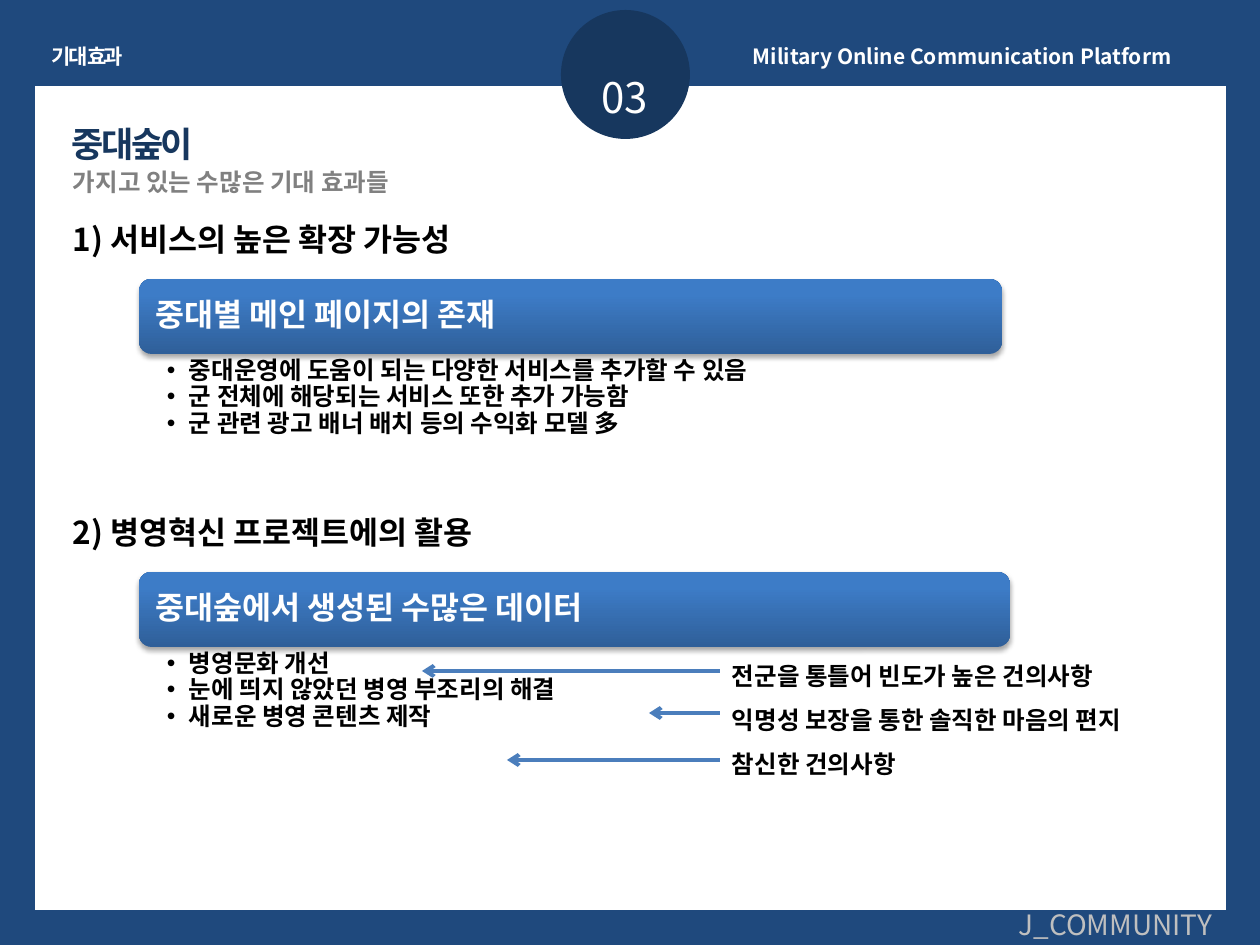
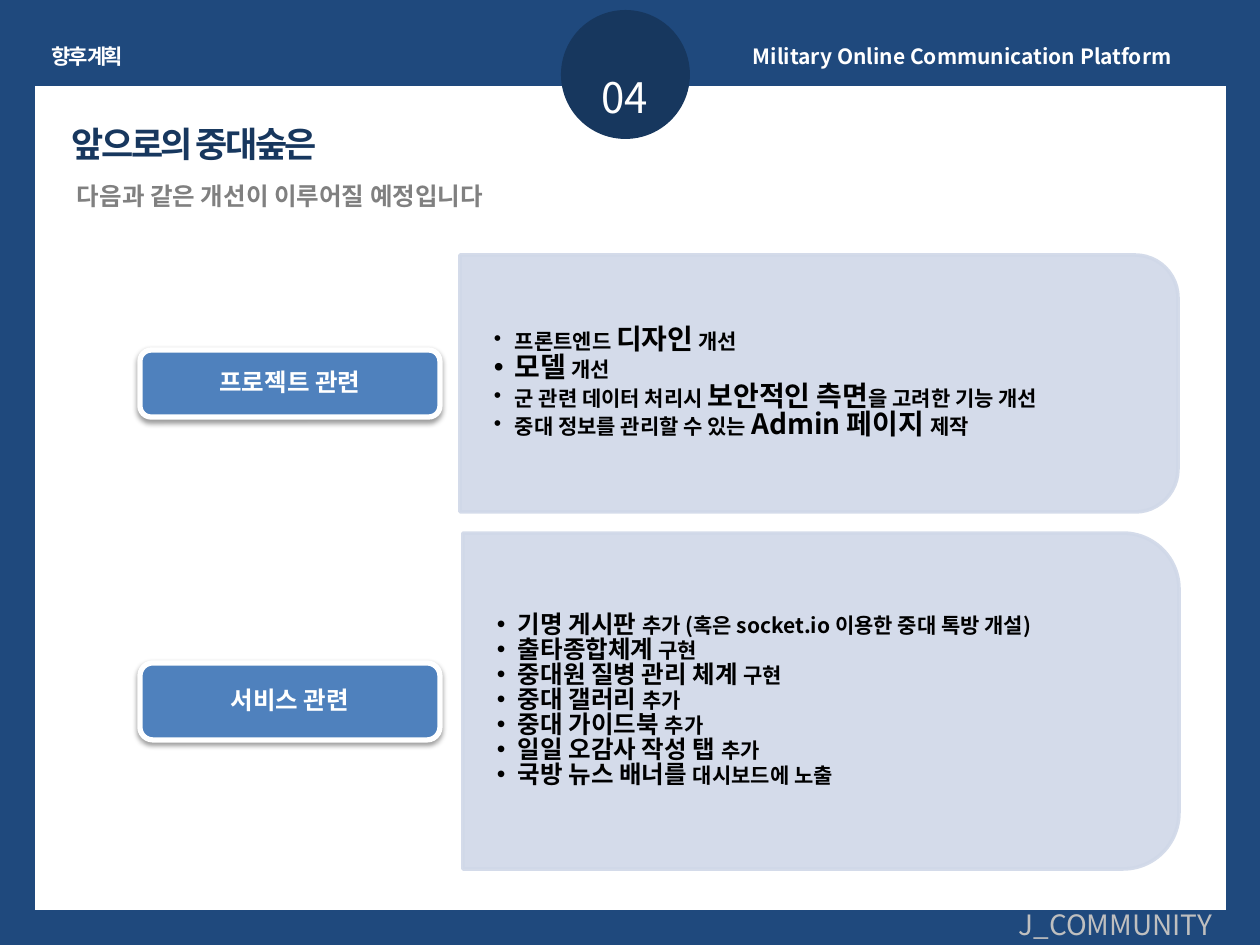
from lxml import etree
from pptx import Presentation, util as u
from pptx.dml.color import RGBColor
from pptx.enum import shapes, text
from pptx.oxml.ns import qn

PX = 914400 / 126
FONT = "Noto Sans CJK KR"
NAVY, DEEP, WHITE, BLACK = "1F497D", "17375E", "FFFFFF", "000000"
GREY, SILVER, BUTTON, PANEL, ARROW = "808080", "BFBFBF", "4F81BD", "D0D8E8", "4B7EBC"
BANNER_STOPS = [("2F5F99", 0), ("3D7CC7", 0.8)]
ALIGN, ANCHOR = text.PP_ALIGN, text.MSO_ANCHOR
SHAPE = shapes.MSO_SHAPE
PROJECT = "Military Online Communication Platform"
TEAM = "J_COMMUNITY"


def px(value):
    return u.Emu(round(value * PX))


def rgb(value):
    return RGBColor.from_string(value)


def add_xml(parent, tag, **attributes):
    return etree.SubElement(parent, qn(tag), attributes)


def write(frame, paragraphs, size=14, strong=None, color=BLACK, bold=True, font=FONT,
          align=ALIGN.LEFT, anchor=ANCHOR.TOP, margins=(13, 6, 13, 6),
          spacing=None, bullet=0, tracking=0, wrap=True):
    """Fill a text frame; in a list of runs every second run takes the strong size."""
    left, top, right, bottom = map(px, margins)
    layout = dict(margin_left=left, margin_top=top, margin_right=right,
                  margin_bottom=bottom, word_wrap=wrap, vertical_anchor=anchor)
    for key, value in layout.items():
        setattr(frame, key, value)
    for i, parts in enumerate(paragraphs):
        paragraph = frame.add_paragraph() if i else frame.paragraphs[0]
        paragraph.alignment = align
        if spacing:
            paragraph.line_spacing = spacing
        if bullet:
            props = paragraph._p.get_or_add_pPr()
            props.set("marL", str(px(bullet)))
            props.set("indent", str(-px(bullet)))
            add_xml(props, "a:buFont", typeface="Arial")
            add_xml(props, "a:buChar", char="•")
        for j, part in enumerate([parts] if isinstance(parts, str) else parts):
            if not part:
                continue
            run = paragraph.add_run()
            run.text = part
            points = strong if j % 2 else size
            for key, value in dict(name=font, size=u.Pt(points), bold=bold).items():
                setattr(run.font, key, value)
            run.font.color.rgb = rgb(color)
            props = run._r.get_or_add_rPr()
            add_xml(props, "a:ea", typeface=FONT)
            if tracking:
                props.set("spc", str(tracking))


def text_box(slide, box, paragraphs, **style):
    frame = slide.shapes.add_textbox(*map(px, box)).text_frame
    write(frame, paragraphs, **style)


def plain_shape(slide, preset, box, fill=None, line=None, width=0):
    shape = slide.shapes.add_shape(preset, *map(px, box))
    shape.shadow.inherit = False
    if fill:
        shape.fill.solid()
        shape.fill.fore_color.rgb = rgb(fill)
    if line:
        shape.line.color.rgb = rgb(line)
        shape.line.width = u.Pt(width)
    else:
        shape.line.fill.background()
    return shape


def drop_shadow(shape, opacity):
    effects = shape._element.spPr.find(qn("a:effectLst"))
    shadow = add_xml(effects, "a:outerShdw", blurRad=str(u.Pt(3.1)), dist=str(u.Pt(1.7)),
                     dir="5400000", rotWithShape="0")
    color = add_xml(shadow, "a:srgbClr", val=BLACK)
    add_xml(color, "a:alpha", val=str(opacity * 1000))


def base_slide(deck, chapter, number, title, subtitle, subtitle_at):
    """Frame, chapter number, header, title and footer shared by all slides."""
    slide = deck.slides.add_slide(deck.slide_layouts[6])
    slide.background.fill.solid()
    slide.background.fill.fore_color.rgb = rgb(NAVY)
    plain_shape(slide, SHAPE.RECTANGLE, (35, 86, 1191, 824), WHITE)
    plain_shape(slide, SHAPE.OVAL, (561, 10, 129, 129), DEEP)
    text_box(slide, (550, 66, 149, 63), [number], size=24, color=WHITE, bold=False,
             align=ALIGN.CENTER)
    # Header and footer
    text_box(slide, (35, 38, 105, 38), [chapter], size=12, color=WHITE,
             align=ALIGN.CENTER, tracking=-150, wrap=False)
    text_box(slide, (740, 38, 496, 38), [PROJECT], size=12, color=WHITE)
    text_box(slide, (987, 902, 238, 47), [TEAM], size=16, color=SILVER, bold=False,
             align=ALIGN.RIGHT)
    # Title and subtitle
    text_box(slide, (59, 116, 480, 106), [title], size=20, color=DEEP, font="Arial",
             tracking=-150)
    text_box(slide, (*subtitle_at, 515, 43), [subtitle], color=GREY)
    return slide


def effect_section(slide, box, heading, claim, benefits):
    """Numbered heading, gradient banner and bullets below it."""
    left, top, width, height = box
    text_box(slide, (60, top - 65, 1131, 50), [heading], size=18)
    banner = plain_shape(slide, SHAPE.ROUNDED_RECTANGLE, (left, top, width, height))
    banner.fill.gradient()
    banner.fill.gradient_angle = 90
    for stop, (color, position) in zip(banner.fill.gradient_stops, BANNER_STOPS):
        stop.color.rgb = rgb(color)
        stop.position = position
    drop_shadow(banner, 35)
    write(banner.text_frame, [claim], size=18, color=WHITE, anchor=ANCHOR.MIDDLE,
          margins=(13, 9, 9, 9), spacing=0.9)
    text_box(slide, (left, top + height, width, 139), benefits, margins=(28, 4, 18, 4),
             spacing=0.9, bullet=22)


def source_arrow(slide, start, end, y):
    arrow = slide.shapes.add_connector(shapes.MSO_CONNECTOR.STRAIGHT,
                                       px(start), px(y), px(end), px(y))
    arrow.line.color.rgb = rgb(ARROW)
    arrow.line.width = u.Pt(2.25)
    add_xml(arrow.line._get_or_add_ln(), "a:tailEnd", type="arrow")
    add_xml(arrow._element.spPr, "a:effectLst")


def plan_section(slide, box, label, label_box, plans, strong):
    """Label button beside a panel whose right corners are round."""
    left, top, width, height = box
    turned = (left + (width - height) / 2, top + (height - width) / 2, height, width)
    panel = plain_shape(slide, SHAPE.ROUND_2_SAME_RECTANGLE, turned, PANEL, PANEL, 2)
    panel.rotation = 90
    for color in panel._element.spPr.iter(qn("a:srgbClr")):
        add_xml(color, "a:alpha", val="90000")
    text_box(slide, (left, top + 12, width - 14, height - 24), plans, size=12,
             strong=strong, anchor=ANCHOR.MIDDLE, margins=(34, 18, 34, 18),
             spacing=0.85, bullet=21)
    button = plain_shape(slide, SHAPE.ROUNDED_RECTANGLE, label_box, BUTTON, WHITE, 3)
    drop_shadow(button, 38)
    write(button.text_frame, [label], color=WHITE, align=ALIGN.CENTER,
          anchor=ANCHOR.MIDDLE, margins=(8, 4, 8, 4), spacing=0.9)


def effects_slide(deck):
    slide = base_slide(deck, "기대 효과", "03", "중대숲이",
                       "가지고 있는 수많은 기대 효과들", (60, 161))
    effect_section(slide, (139, 279, 863, 75), "1) 서비스의 높은 확장 가능성",
                   "중대별 메인 페이지의 존재",
                   ["중대운영에 도움이 되는 다양한 서비스를 추가할 수 있음",
                    "군 전체에 해당되는 서비스 또한 추가 가능함",
                    "군 관련 광고 배너 배치 등의 수익화 모델 多"])
    effect_section(slide, (139, 572, 871, 75), "2) 병영혁신 프로젝트에의 활용",
                   "중대숲에서 생성된 수많은 데이터",
                   ["병영문화 개선", "눈에 띄지 않았던 병영 부조리의 해결",
                    "새로운 병영 콘텐츠 제작"])
    # Data sources pointing at the benefits
    sources = [("전군을 통틀어 빈도가 높은 건의사항", 422, 671),
               ("익명성 보장을 통한 솔직한 마음의 편지", 649, 713),
               ("참신한 건의사항", 507, 760)]
    for row, (source, tip, y) in enumerate(sources):
        text_box(slide, (719, 655 + 44 * row, 496, 44), [source])
        source_arrow(slide, 720, tip, y)


def plans_slide(deck):
    slide = base_slide(deck, "향후 계획", "04", "앞으로의 중대숲은",
                       "다음과 같은 개선이 이루어질 예정입니다", (64, 175))
    plan_section(slide, (460, 255, 718, 257), "프로젝트 관련", (140, 350, 300, 67),
                 [["프론트엔드 ", "디자인", " 개선"],
                  ["", "모델", " 개선"],
                  ["군 관련 데이터 처리시 ", "보안적인 측면", "을 고려한 기능 개선"],
                  ["중대 정보를 관리할 수 있는 ", "Admin 페이지 ", "제작"]], 16)
    plan_section(slide, (463, 533, 716, 336), "서비스 관련", (140, 663, 300, 77),
                 [["", "기명 게시판 ", "추가 (혹은 socket.io 이용한 중대 톡방 개설)"],
                  ["", "출타종합체계", " 구현"],
                  ["", "중대원 질병 관리 체계 ", "구현"],
                  ["", "중대 갤러리 ", "추가"],
                  ["", "중대 가이드북 ", "추가"],
                  ["", "일일 오감사 작성 탭 ", "추가"],
                  ["", "국방 뉴스 배너를 ", "대시보드에 노출"]], 14)


def main():
    deck = Presentation()
    deck.slide_width, deck.slide_height = px(1260), px(945)
    effects_slide(deck)
    plans_slide(deck)
    deck.save("out.pptx")


if __name__ == "__main__":
    main()
